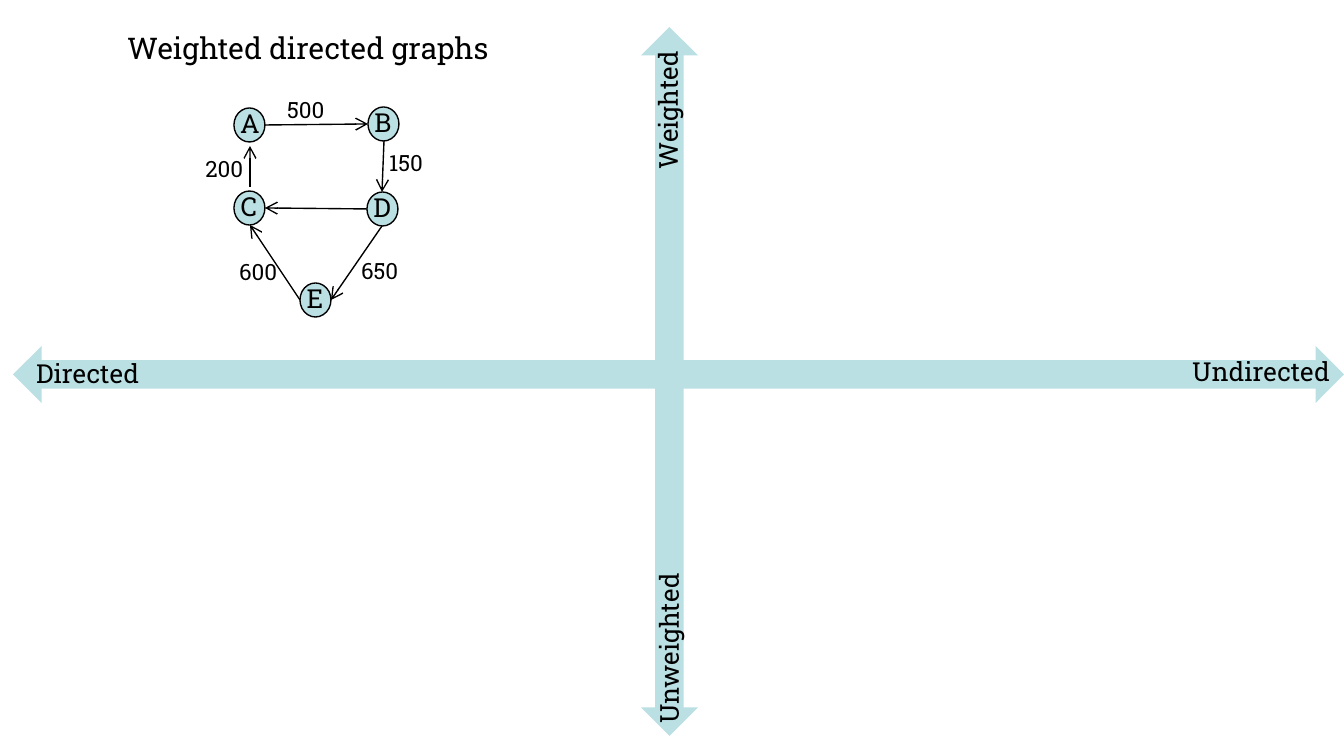
from dataclasses import dataclass

from lxml import etree
from pptx import Presentation
from pptx.dml.color import RGBColor
from pptx.enum.shapes import MSO_CONNECTOR, MSO_SHAPE
from pptx.enum.text import MSO_AUTO_SIZE, PP_ALIGN
from pptx.oxml.ns import qn
from pptx.util import Emu, Pt

STRAIGHT = MSO_CONNECTOR.STRAIGHT
DOUBLE_ARROW = MSO_SHAPE.UP_DOWN_ARROW
OVAL = MSO_SHAPE.OVAL
FIT_SHAPE = MSO_AUTO_SIZE.SHAPE_TO_FIT_TEXT
LEFT, CENTER = PP_ALIGN.LEFT, PP_ALIGN.CENTER

EMU_PER_PX = 914400 / 134.4
PAGE_WIDTH, PAGE_HEIGHT = 1344, 756
NODE_WIDTH, NODE_HEIGHT = 31, 34
LETTER_WIDTH = 44
SIDES = {"top": (0, -1), "left": (-1, 0), "bottom": (0, 1), "right": (1, 0)}


@dataclass(frozen=True)
class Theme:
    font: str = "Roboto Slab"
    ink: RGBColor = RGBColor(0, 0, 0)
    teal: RGBColor = RGBColor(0xBB, 0xE0, 0xE3)
    title: int = 16
    body: int = 14
    weight: int = 12
    stroke: float = 0.75


@dataclass(frozen=True)
class Axis:
    left: int
    top: int
    width: int
    height: int
    rotation: int = 0


@dataclass(frozen=True)
class Label:
    text: str
    left: int
    top: int
    width: int
    size: int
    rotation: int = 0
    align: PP_ALIGN = LEFT


@dataclass(frozen=True)
class Node:
    name: str
    left: int
    top: int

    def side(self, name: str, gap: int) -> tuple[int, int]:
        across, down = SIDES[name]
        x = self.left + NODE_WIDTH / 2 + across * (NODE_WIDTH / 2 + gap)
        y = self.top + NODE_HEIGHT / 2 + down * (NODE_HEIGHT / 2 + gap)
        return round(x), round(y)


@dataclass(frozen=True)
class Edge:
    start: str
    start_side: str
    end: str
    end_side: str
    gap: int = 0


THEME = Theme()
TEXT_HEIGHTS = {THEME.title: 50, THEME.body: 46, THEME.weight: 41}

AXES = [Axis(641, 27, 57, 709), Axis(650, -291, 57, 1331, 90)]
AXIS_LABELS = [
    Label("Undirected", 1179, 349, 165, THEME.body),
    Label("Directed", 23, 351, 130, THEME.body),
    Label("Unweighted", 579, 624, 180, THEME.body, 270),
    Label("Weighted", 594, 86, 148, THEME.body, 270),
]
NODES = [
    Node("A", 234, 108),
    Node("B", 368, 107),
    Node("C", 234, 191),
    Node("D", 367, 192),
    Node("E", 300, 283),
]
EDGES = [
    Edge("A", "right", "B", "left"),
    Edge("C", "top", "A", "bottom", 4),
    Edge("B", "bottom", "D", "top"),
    Edge("D", "left", "C", "right"),
    Edge("D", "bottom", "E", "right"),
    Edge("E", "left", "C", "bottom"),
]
GRAPH_LABELS = [
    Label("500", 274, 90, 65, THEME.weight),
    Label("200", 192, 149, 66, THEME.weight),
    Label("150", 376, 142, 62, THEME.weight),
    Label("650", 348, 250, 65, THEME.weight),
    Label("600", 226, 251, 67, THEME.weight),
    Label("Weighted directed graphs", 114, 23, 394, THEME.title),
]


def px(length: int) -> Emu:
    return Emu(round(length * EMU_PER_PX))


def draw_axis(shapes, axis: Axis) -> None:
    arrow = shapes.add_shape(
        DOUBLE_ARROW, px(axis.left), px(axis.top), px(axis.width), px(axis.height)
    )
    arrow.rotation = axis.rotation
    arrow.shadow.inherit = False
    arrow.fill.solid()
    arrow.fill.fore_color.rgb = THEME.teal
    arrow.line.fill.background()


def draw_label(shapes, label: Label) -> None:
    box = shapes.add_textbox(
        px(label.left), px(label.top), px(label.width), px(TEXT_HEIGHTS[label.size])
    )
    box.rotation = label.rotation
    frame = box.text_frame
    frame.word_wrap = False
    frame.auto_size = FIT_SHAPE
    para = frame.paragraphs[0]
    para.alignment = label.align
    span = para.add_run()
    span.text = label.text
    span.font.name = THEME.font
    span.font.size = Pt(label.size)
    span.font.color.rgb = THEME.ink


def draw_node(shapes, node: Node) -> None:
    group = shapes.add_group_shape()
    circle = group.shapes.add_shape(
        OVAL, px(node.left), px(node.top), px(NODE_WIDTH), px(NODE_HEIGHT)
    )
    circle.shadow.inherit = False
    circle.fill.solid()
    circle.fill.fore_color.rgb = THEME.teal
    circle.line.color.rgb = THEME.ink
    circle.line.width = Pt(THEME.stroke)
    left = node.left + (NODE_WIDTH - LETTER_WIDTH) // 2
    top = node.top + (NODE_HEIGHT - TEXT_HEIGHTS[THEME.body]) // 2 - 1
    letter = Label(node.name, left, top, LETTER_WIDTH, THEME.body, align=CENTER)
    draw_label(group.shapes, letter)


def draw_edge(shapes, edge: Edge, nodes: dict[str, Node]) -> None:
    start = nodes[edge.start].side(edge.start_side, edge.gap)
    end = nodes[edge.end].side(edge.end_side, edge.gap)
    line = shapes.add_connector(STRAIGHT, *map(px, start + end))
    line.line.color.rgb = THEME.ink
    line.line.width = Pt(THEME.stroke)
    etree.SubElement(line.line._get_or_add_ln(), qn("a:tailEnd"), type="arrow")
    etree.SubElement(line._element.spPr, qn("a:effectLst"))


def main() -> None:
    deck = Presentation()
    deck.slide_width, deck.slide_height = px(PAGE_WIDTH), px(PAGE_HEIGHT)
    page = deck.slides.add_slide(deck.slide_layouts[6])
    nodes = {node.name: node for node in NODES}
    for axis in AXES:
        draw_axis(page.shapes, axis)
    for label in AXIS_LABELS:
        draw_label(page.shapes, label)
    for node in NODES:
        draw_node(page.shapes, node)
    for edge in EDGES:
        draw_edge(page.shapes, edge, nodes)
    for label in GRAPH_LABELS:
        draw_label(page.shapes, label)
    deck.save("out.pptx")


if __name__ == "__main__":
    main()
